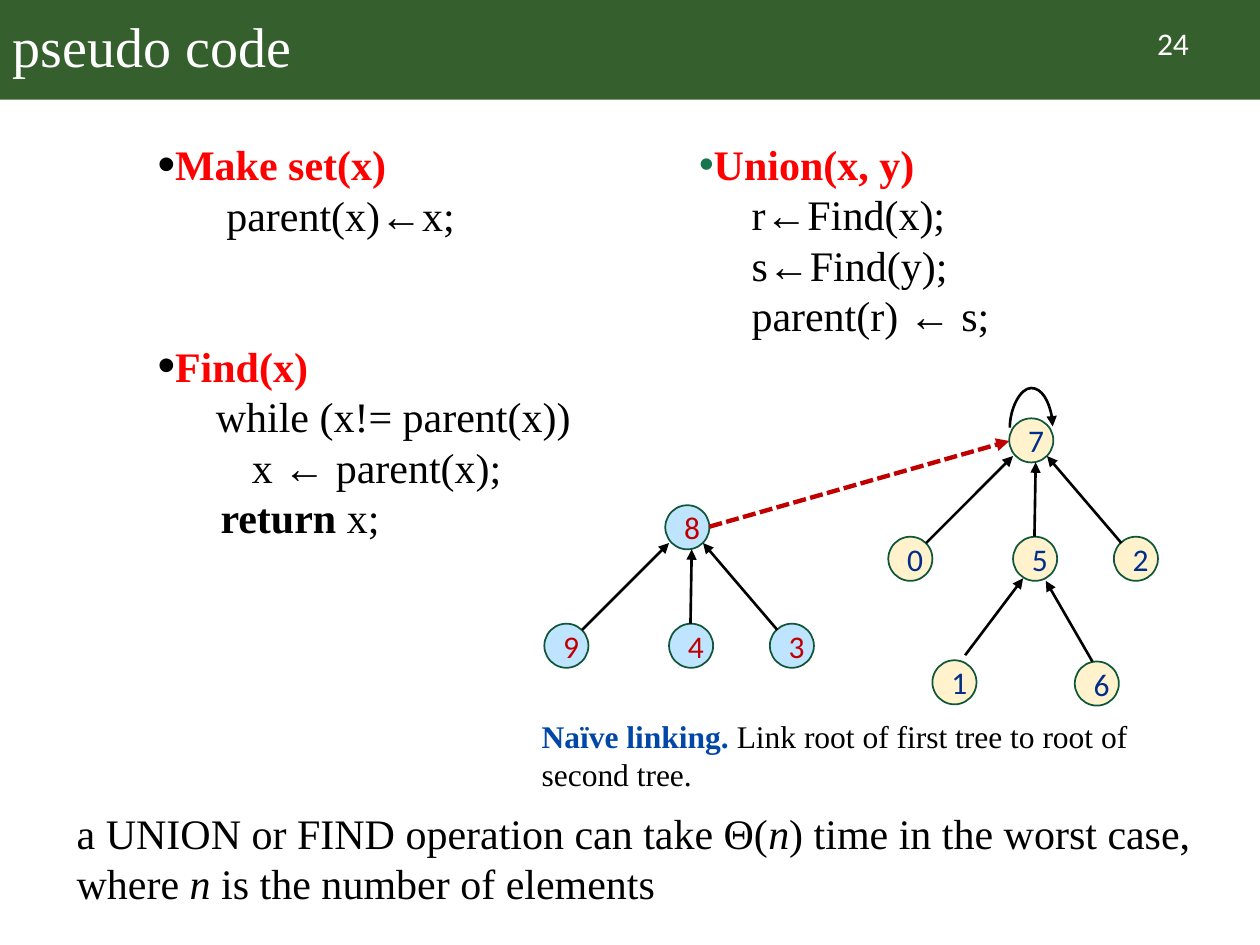
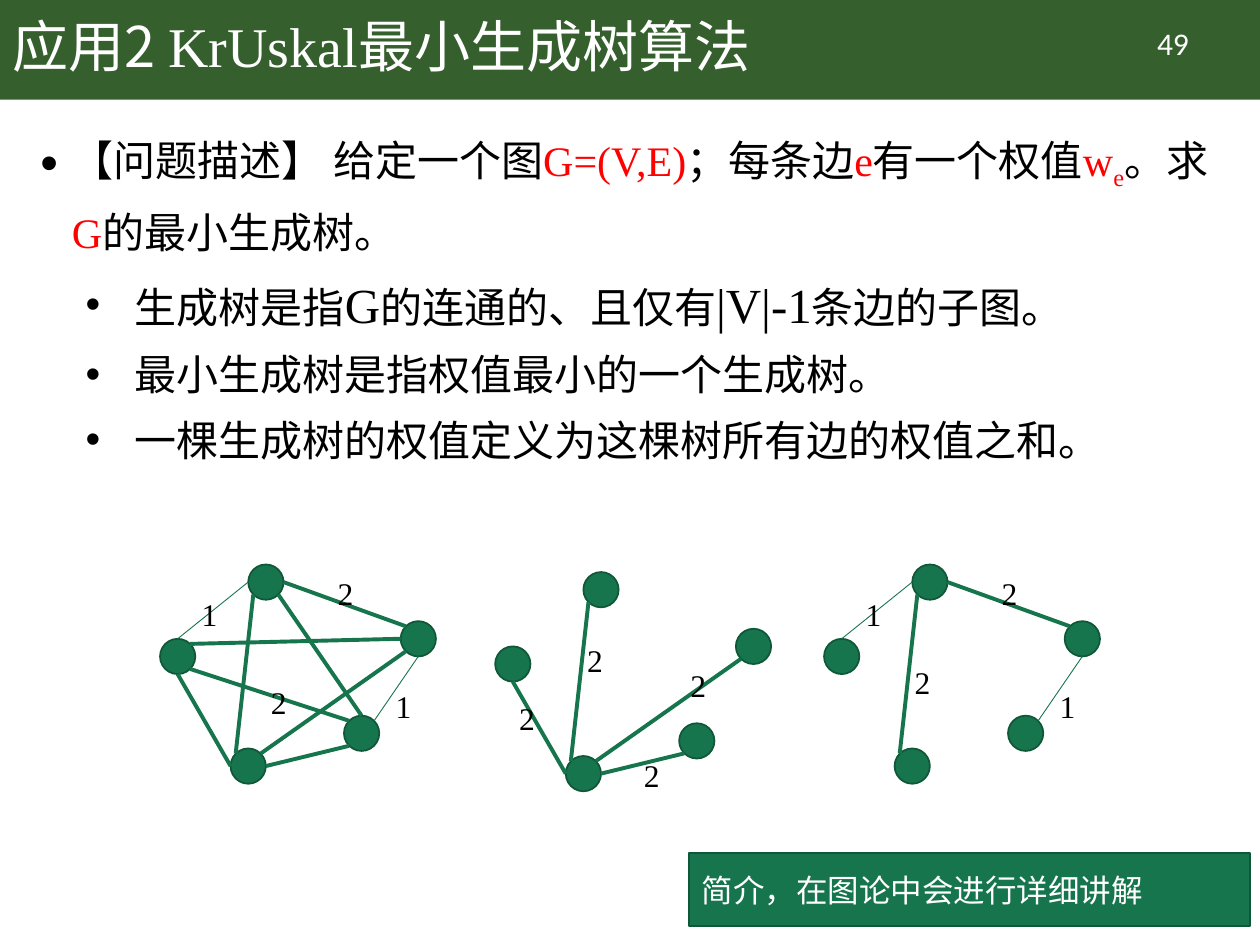
from dataclasses import dataclass
from typing import NamedTuple

from lxml import etree
from pptx import Presentation
from pptx import util as u
from pptx.dml.color import RGBColor
from pptx.enum import dml, shapes, text
from pptx.oxml import ns

COLORS = {
    "band": "365F2E", "white": "FFFFFF", "black": "000000", "red": "FF0000",
    "green": "16754D", "outline": "105739", "blue": "0047A8", "dark_red": "C00000",
    "navy": "002E89", "sky": "BFE4FF", "cream": "FFF2CC",
}
SERIF, SANS, CJK = "Times New Roman", "Calibri", "Noto Sans CJK SC"
NODE_SIZE, VERTEX_SIZE = 0.35, 0.28


class Point(NamedTuple):
    x: float
    y: float


@dataclass
class Bullet:
    color: str = "black"
    size: int = 100


@dataclass
class TreeStyle:
    fill: str
    ink: str


@dataclass
class Graph:
    origin: Point
    edges: list
    labels: list


def color(name):
    return RGBColor.from_string(COLORS[name])


def child(parent, tag, **attributes):
    return etree.SubElement(parent, ns.qn(tag), attributes)


# Text helpers
def add_span(para, words, font=SERIF, size=24, ink="black", bold=False, italic=False, base=0):
    span = para.add_run()
    span.text = words
    style = span.font
    style.name, style.size, style.bold, style.italic = font, u.Pt(size), bold, italic
    style.color.rgb = color(ink)
    properties = span._r.get_or_add_rPr()
    child(properties, "a:ea", typeface=font)
    if base:
        properties.set("baseline", str(base * 1000))


def format_para(para, left=0.0, indent=0.0, bullet=None, spacing=1.0, before=0.0):
    properties = para._p.get_or_add_pPr()
    properties.set("marL", str(u.Inches(left)))
    properties.set("indent", str(u.Inches(indent)))
    if bullet:
        child(child(properties, "a:buClr"), "a:srgbClr", val=COLORS[bullet.color])
        child(properties, "a:buSzPct", val=str(bullet.size * 1000))
        child(properties, "a:buFont", typeface="Arial")
        child(properties, "a:buChar", char="•")
    else:
        child(properties, "a:buNone")
    para.line_spacing = spacing
    para.space_before = u.Pt(before)
    para.space_after = u.Pt(0)


def add_paras(frame, rows):
    """Each row is (paragraph format, spans); a span is (text, format)."""
    for index, (layout, spans) in enumerate(rows):
        para = frame.paragraphs[0] if index == 0 else frame.add_paragraph()
        format_para(para, **layout)
        for words, style in spans:
            add_span(para, words, **style)


def add_text(page, x, y, width, height, rows, align=None):
    box = page.shapes.add_textbox(*map(u.Inches, (x, y, width, height)))
    box.text_frame.word_wrap = True
    add_paras(box.text_frame, rows)
    if align is not None:
        box.text_frame.paragraphs[0].alignment = align
    return box


def place(holder, x, y, width, height):
    holder.left, holder.top, holder.width, holder.height = map(u.Inches, (x, y, width, height))
    holder.text_frame.auto_size = text.MSO_AUTO_SIZE.NONE
    return holder.text_frame


# Shape helpers
def add_block(page, kind, x, y, width, height, fill, line="outline"):
    block = page.shapes.add_shape(kind, *map(u.Inches, (x, y, width, height)))
    block.shadow.inherit = False
    block.fill.solid()
    block.fill.fore_color.rgb = color(fill)
    if line:
        block.line.color.rgb = color(line)
        block.line.width = u.Pt(1)
    else:
        block.line.fill.background()
    block.text_frame.vertical_anchor = text.MSO_ANCHOR.MIDDLE
    return block


def add_line(page, start, end, ink="black", width=1.5, arrow=False, dashed=False,
             kind=shapes.MSO_CONNECTOR.STRAIGHT):
    line = page.shapes.add_connector(kind, *map(u.Inches, (*start, *end)))
    line.line.color.rgb = color(ink)
    line.line.width = u.Pt(width)
    if dashed:
        line.line.dash_style = dml.MSO_LINE.SQUARE_DOT
    if arrow:
        child(line.line._get_or_add_ln(), "a:tailEnd", type="triangle")
    child(line._element.spPr, "a:effectLst")
    return line


def add_node(page, digit, x, y, style):
    node = add_block(page, shapes.MSO_SHAPE.OVAL, x, y, NODE_SIZE, NODE_SIZE, style.fill)
    para = node.text_frame.paragraphs[0]
    para.alignment = text.PP_ALIGN.CENTER
    add_span(para, digit, font=SANS, size=18, ink=style.ink)


def start_page(deck, number, title_spans):
    """Adds a page with the green band, the title and the page number."""
    page = deck.slides.add_slide(deck.slide_layouts[1])
    band = add_block(page, shapes.MSO_SHAPE.RECTANGLE, 0, 0, 10, 0.79, "band", line=None)
    page.shapes._spTree.insert(2, band._element)
    frame = place(page.shapes.title, 0, 0, 8.62, 0.79)
    frame.vertical_anchor = text.MSO_ANCHOR.MIDDLE
    para = frame.paragraphs[0]
    para.alignment, para.line_spacing = text.PP_ALIGN.LEFT, 0.9
    for words, font in title_spans:
        add_span(para, words, font=font, size=32, ink="white")
    add_text(page, 8.71, 0.14, 1.2, 0.4,
             [({}, [(number, dict(font=SANS, size=18, ink="white"))])],
             align=text.PP_ALIGN.CENTER)
    return page


# Slide 1: pseudo code and the linked trees
def add_tree(page, corner, digits, style):
    """Draws a root above three children; corner is the left child's position."""
    x, y = corner
    root, *children = digits
    for digit, shift in zip(children, (0, 0.99, 1.79)):
        add_node(page, digit, x + shift, y, style)
    add_node(page, root, x + 0.96, y - 0.94, style)
    for start, end in (((1.16, 0), (1.17, -0.59)),
                       ((0.3, 0.05), (0.99, -0.64)),
                       ((1.85, 0.05), (1.26, -0.64))):
        add_line(page, (x + start[0], y + start[1]), (x + end[0], y + end[1]), arrow=True)


def build_pseudo_code(deck):
    page = start_page(deck, "24", [("pseudo code", SERIF)])
    heading = dict(ink="red", bold=True)
    dot = Bullet(size=120)
    add_paras(place(page.placeholders[1], 0.9, 1.05, 8.89, 6.3), [
        (dict(left=0.25, bullet=dot), [("Make set(x)", heading)]),
        (dict(left=0.38), [("     parent(x)←x;", {})]),
        (dict(left=0.25, bullet=dot, before=57.6), [("Find(x)", heading)]),
        (dict(left=0.38), [("    while (x!= parent(x))", {})]),
        ({}, [("            x ← parent(x);", {})]),
        ({}, [("         ", {}), ("return", dict(bold=True)), (" x;", {})]),
    ])
    union_steps = ("r←Find(x);", "s←Find(y);", "parent(r) ← s;")
    add_text(page, 5.2, 1.05, 3.42, 1.83, [
        (dict(left=0.25, bullet=Bullet("green")), [("Union(x, y)", heading)]),
        *[({}, [("        " + step, {})]) for step in union_steps],
    ])
    add_text(page, 0.51, 6.36, 9.55, 0.91, [({}, [
        ("a UNION or FIND operation can take Θ(", {}), ("n", dict(italic=True)),
        (") time in the worst case, where ", {}), ("n ", dict(italic=True)),
        ("is the number of elements", {}),
    ])])

    first, second = TreeStyle("sky", "dark_red"), TreeStyle("cream", "navy")
    add_tree(page, Point(4.32, 4.95), "8943", first)
    add_tree(page, Point(7.05, 4.26), "7052", second)
    add_node(page, "1", 7.4, 5.24, second)
    add_node(page, "6", 8.53, 5.25, second)
    add_line(page, (7.66, 5.2), (8.12, 4.59), arrow=True)
    add_line(page, (8.67, 5.25), (8.3, 4.61), arrow=True)
    add_line(page, (5.63, 4.18), (8.01, 3.5), ink="dark_red", width=2.5, arrow=True, dashed=True)

    # Loop from the root to itself: a flat curve, turned upright
    loop = add_line(page, (8.19, 3.56), (8.18, 3.22), arrow=True, kind=shapes.MSO_CONNECTOR.CURVE)
    properties = loop._element.spPr
    properties.find(ns.qn("a:xfrm")).set("rot", str(90 * 60000))
    guides = properties.find(ns.qn("a:prstGeom")).find(ns.qn("a:avLst"))
    child(guides, "a:gd", name="adj1", fmla="val 3200000")

    add_text(page, 4.2, 5.64, 5.11, 0.71, [({}, [
        ("Naïve linking. ", dict(size=18, ink="blue", bold=True)),
        ("Link root of first tree to root of second tree.", dict(size=18)),
    ])])


# Slide 2: a weighted graph and two of its spanning trees
VERTICES = {
    "top": Point(0.7, 0), "left": Point(0, 0.59), "bottom": Point(0.56, 1.46),
    "low": Point(1.46, 1.2), "right": Point(1.91, 0.45),
}
# Sides of a vertex as directions from its centre
DIAGONAL = 0.71
SIDES = {
    "N": (0, -1), "S": (0, 1), "W": (-1, 0), "E": (1, 0),
    "NW": (-DIAGONAL, -DIAGONAL), "NE": (DIAGONAL, -DIAGONAL),
    "SW": (-DIAGONAL, DIAGONAL), "SE": (DIAGONAL, DIAGONAL),
}
THICK, THIN = 2.25, 0.5
EDGES = {
    "left-right": ("left", "NE", "right", "W", THICK),
    "left-low": ("left", "SE", "low", "NW", THICK),
    "bottom-top": ("bottom", "NW", "top", "SW", THICK),
    "low-top": ("low", "N", "top", "SE", THICK),
    "bottom-right": ("bottom", "NE", "right", "SW", THICK),
    "left-top": ("left", "N", "top", "W", THIN),
    "top-right": ("top", "E", "right", "NW", THICK),
    "right-low": ("right", "S", "low", "NE", THIN),
    "low-bottom": ("low", "SW", "bottom", "E", THICK),
    "bottom-left": ("bottom", "W", "left", "S", THICK),
}
OUTER_LABELS = [("1", 0.26, 0.21), ("2", 1.34, 0.05), ("1", 1.8, 0.94)]
GRAPHS = [
    Graph(Point(1.27, 4.48), list(EDGES), OUTER_LABELS + [("2", 0.81, 0.91)]),
    Graph(Point(6.54, 4.48), ["bottom-top", "left-top", "top-right", "right-low"],
          OUTER_LABELS + [("2", 0.65, 0.75)]),
    Graph(Point(3.93, 4.54), ["bottom-top", "bottom-right", "low-bottom", "bottom-left"],
          [("2", 0.12, 0.98), ("2", 0.66, 0.52), ("2", 1.48, 0.72), ("2", 1.11, 1.43)]),
]


def vertex_side(origin, vertex, side):
    radius = VERTEX_SIZE / 2
    corner, (dx, dy) = VERTICES[vertex], SIDES[side]
    return Point(origin.x + corner.x + radius * (1 + dx), origin.y + corner.y + radius * (1 + dy))


def add_graph(page, graph):
    origin = graph.origin
    for corner in VERTICES.values():
        add_block(page, shapes.MSO_SHAPE.OVAL, origin.x + corner.x, origin.y + corner.y,
                  VERTEX_SIZE, VERTEX_SIZE, "green")
    for name in graph.edges:
        start, start_side, end, end_side, width = EDGES[name]
        add_line(page, vertex_side(origin, start, start_side),
                 vertex_side(origin, end, end_side), ink="green", width=width)
    for digit, x, y in graph.labels:
        box = add_text(page, origin.x + x, origin.y + y, 0.27, 0.33,
                       [({}, [(digit, dict(size=18))])])
        frame = box.text_frame
        frame.word_wrap = False
        frame.margin_left = frame.margin_right = u.Inches(0.07)
        frame.margin_top = frame.margin_bottom = u.Inches(0.03)


def build_spanning_tree(deck):
    page = start_page(deck, "49", [("应用2 ", CJK), ("KrUskal", SERIF), ("最小生成树算法", CJK)])
    chinese, formula, large = dict(font=CJK), dict(ink="red"), dict(size=28)
    main = dict(left=0.25, indent=-0.39, spacing=1.3, bullet=Bullet(size=120))
    detail = dict(left=0.75, indent=-0.39, spacing=1.3, bullet=Bullet())
    frame = place(page.placeholders[1], 0.22, 0.88, 9.57, 6.47)
    add_paras(frame, [
        (main, [
            ("【问题描述】 给定一个图", chinese), ("G=(V,E)", formula), ("；每条边", chinese),
            ("e", formula), ("有一个权值", chinese), ("w", formula),
            ("e", dict(ink="red", base=-25)), ("。求", chinese), ("G", formula),
            ("的最小生成树。", chinese),
        ]),
        (detail, [("生成树是指", chinese), ("G", large), ("的连通的、且仅有", chinese),
                  ("|V|-1", large), ("条边的子图。", chinese)]),
        (detail, [("最小生成树是指权值最小的一个生成树。", chinese)]),
        (detail, [("一棵生成树的权值定义为这棵树所有边的权值之和。", chinese)]),
    ])
    for para in frame.paragraphs[1:]:
        para.level = 1
    for graph in GRAPHS:
        add_graph(page, graph)
    note = add_block(page, shapes.MSO_SHAPE.RECTANGLE, 5.47, 6.77, 4.45, 0.58, "green")
    para = note.text_frame.paragraphs[0]
    para.alignment = text.PP_ALIGN.LEFT
    add_span(para, "简介，在图论中会进行详细讲解", font=CJK, size=18, ink="white")


def main():
    deck = Presentation()
    deck.slide_width, deck.slide_height = u.Inches(10), u.Inches(7.5)
    build_pseudo_code(deck)
    build_spanning_tree(deck)
    deck.save("out.pptx")


if __name__ == "__main__":
    main()
